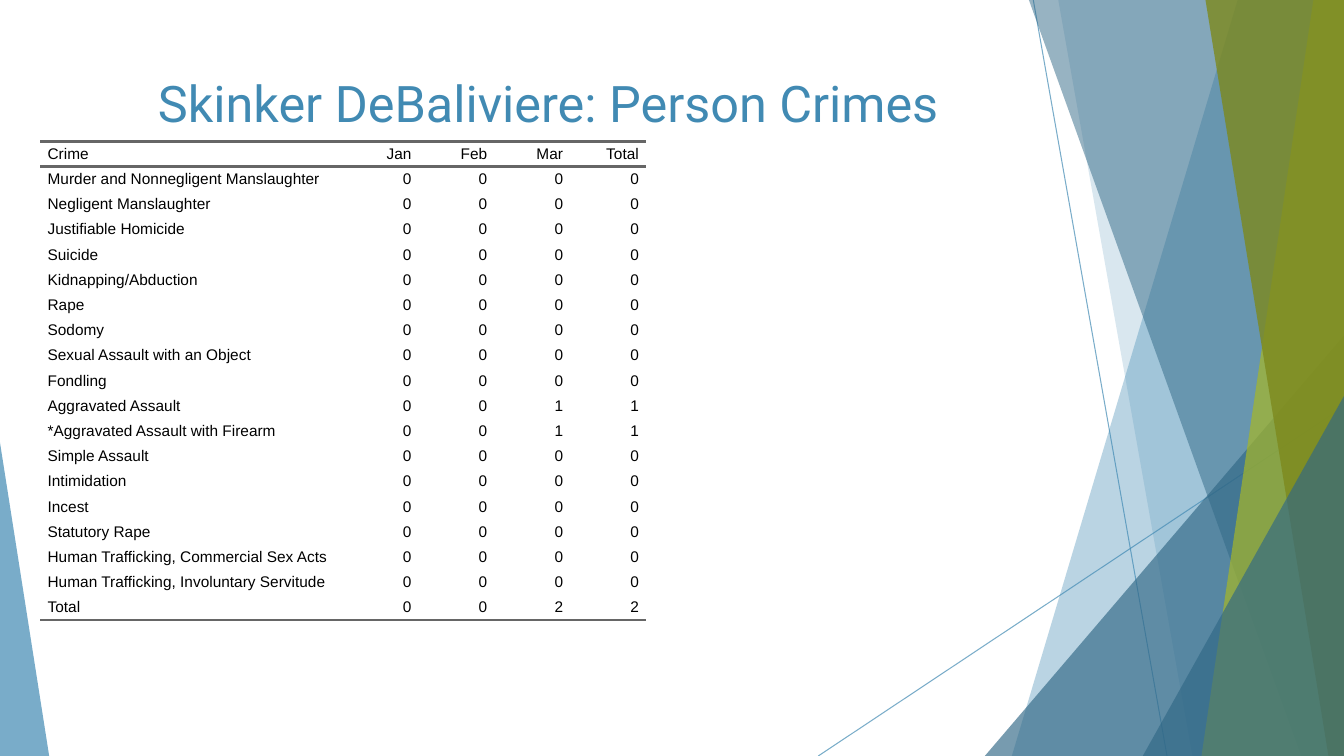
from lxml import etree
from pptx import Presentation
from pptx import util as u
from pptx.dml.color import RGBColor
from pptx.enum import shapes, text
from pptx.oxml.ns import qn

TITLE = "Skinker DeBaliviere: Person Crimes"
HEADER = ("Crime", "Jan", "Feb", "Mar", "Total")
CRIMES = [
    ("Murder and Nonnegligent Manslaughter", 0, 0, 0),
    ("Negligent Manslaughter", 0, 0, 0),
    ("Justifiable Homicide", 0, 0, 0),
    ("Suicide", 0, 0, 0),
    ("Kidnapping/Abduction", 0, 0, 0),
    ("Rape", 0, 0, 0),
    ("Sodomy", 0, 0, 0),
    ("Sexual Assault with an Object", 0, 0, 0),
    ("Fondling", 0, 0, 0),
    ("Aggravated Assault", 0, 0, 1),
    ("*Aggravated Assault with Firearm", 0, 0, 1),
    ("Simple Assault", 0, 0, 0),
    ("Intimidation", 0, 0, 0),
    ("Incest", 0, 0, 0),
    ("Statutory Rape", 0, 0, 0),
    ("Human Trafficking, Commercial Sex Acts", 0, 0, 0),
    ("Human Trafficking, Involuntary Servitude", 0, 0, 0),
    ("Total", 0, 0, 2),
]
COLORS = {"blue": "418AB3", "navy": "316886", "lime": "A6B727",
          "olive": "7D891D", "rule": "666666", "text": "000000"}
W, H = 33.87, 19.05
LINES = [(26.04, 0, 29.41, H), (W, 10.24, 20.62, H)]
# panel: top x, bottom x; triangle: left, right, top, apex
DECOR = [
    ("panel", (31.19, 25.5), "blue", 36),
    ("panel", (26.67, 30.05), "blue", 20),
    ("triangle", (24.82, W, 8.46, 1), "navy", 66),
    ("panel", (25.93, 32.79), "navy", 50),
    ("panel", (33.1, 30.28), "lime", 70),
    ("panel", (30.38, 33.48), "olive", 80),
    ("triangle", (28.8, W, 9.98, 1), "navy", 66),
    ("triangle", (0, 1.24, 11.15, 0), "blue", 70),
]
TABLE_LEFT, TABLE_TOP, TABLE_HEIGHT = 1.02, 3.56, 12.07
COL_WIDTHS = (7.62, 1.91, 1.91, 1.91, 1.91)
NO_STYLE = "{2D5ABB26-0587-4C30-8999-92F81FD0307C}"


def rgb(name):
    return RGBColor.from_string(COLORS[name])


def set_alpha(sp, percent):
    for clr in sp._element.spPr.iter(qn("a:srgbClr")):
        etree.SubElement(clr, qn("a:alpha"), val=str(percent * 1000))


def add_line(s, x1, y1, x2, y2):
    ln = s.shapes.add_connector(shapes.MSO_CONNECTOR.STRAIGHT,
                                u.Cm(x1), u.Cm(y1), u.Cm(x2), u.Cm(y2))
    ln.line.color.rgb = rgb("blue")
    ln.line.width = u.Pt(0.75)
    set_alpha(ln, 70)
    etree.SubElement(ln._element.spPr, qn("a:effectLst"))


def add_decor(s, kind, geometry, color, alpha):
    if kind == "panel":
        top, bottom = geometry
        fb = s.shapes.build_freeform(u.Cm(top), 0)
        fb.add_line_segments([(u.Cm(x), u.Cm(y)) for x, y in
                              ((W, 0), (W, H), (bottom, H))])
        sp = fb.convert_to_shape()
    else:
        left, right, top, apex = geometry
        sp = s.shapes.add_shape(shapes.MSO_SHAPE.ISOSCELES_TRIANGLE, u.Cm(left),
                                u.Cm(top), u.Cm(right - left), u.Cm(H - top))
        sp.adjustments[0] = apex
    sp.shadow.inherit = False
    sp.fill.solid()
    sp.fill.fore_color.rgb = rgb(color)
    sp.line.fill.background()
    set_alpha(sp, alpha)


def add_rules(cell, sides):
    tcPr = cell._tc.get_or_add_tcPr()
    for i, side in enumerate(sides):
        ln = etree.Element(qn("a:ln" + side), w=str(u.Pt(2)))
        fill = etree.SubElement(ln, qn("a:solidFill"))
        etree.SubElement(fill, qn("a:srgbClr"), val=COLORS["rule"])
        tcPr.insert(i, ln)


def add_crime_table(s):
    rows = [HEADER] + [(*row, sum(row[1:])) for row in CRIMES]
    frame = s.shapes.add_table(len(rows), len(HEADER), u.Cm(TABLE_LEFT), u.Cm(TABLE_TOP),
                               u.Cm(sum(COL_WIDTHS)), u.Cm(TABLE_HEIGHT))
    table = frame.table
    table.first_row = table.horz_banding = False
    table._tbl.tblPr.find(qn("a:tableStyleId")).text = NO_STYLE
    for col, width in zip(table.columns, COL_WIDTHS):
        col.width = u.Cm(width)
    sides = {0: "TB", len(rows) - 1: "B"}
    for r, row in enumerate(rows):
        table.rows[r].height = u.Cm(TABLE_HEIGHT / len(rows))
        for c, value in enumerate(row):
            cell = table.cell(r, c)
            cell.margin_top = cell.margin_bottom = 0
            cell.margin_left = cell.margin_right = u.Cm(0.18)
            cell.vertical_anchor = text.MSO_ANCHOR.MIDDLE
            cell.fill.background()
            add_rules(cell, sides.get(r, ""))
            p = cell.text_frame.paragraphs[0]
            p.text = str(value)
            p.alignment = text.PP_ALIGN.RIGHT if c else text.PP_ALIGN.LEFT
            font = p.runs[0].font
            font.name, font.size = "Arial", u.Pt(11)
            font.color.rgb = rgb("text")


def add_title(s):
    title = s.shapes.title
    title.left, title.top = u.Cm(1.88), u.Cm(1.7)
    title.width, title.height = u.Cm(23.88), u.Cm(3.66)
    tf = title.text_frame
    tf.text = TITLE
    tf.word_wrap = True
    tf.auto_size = text.MSO_AUTO_SIZE.NONE
    tf.vertical_anchor = text.MSO_ANCHOR.TOP
    p = tf.paragraphs[0]
    p.alignment = text.PP_ALIGN.CENTER
    font = p.runs[0].font
    font.name, font.size = "Roboto", u.Pt(36)
    font.color.rgb = rgb("blue")
    s.shapes._spTree.append(title._element)


def main():
    prs = Presentation()
    prs.slide_width, prs.slide_height = u.Cm(W), u.Cm(H)
    s = prs.slides.add_slide(prs.slide_layouts[5])
    for line in LINES:
        add_line(s, *line)
    for item in DECOR:
        add_decor(s, *item)
    add_crime_table(s)
    add_title(s)
    prs.save("out.pptx")


if __name__ == "__main__":
    main()
